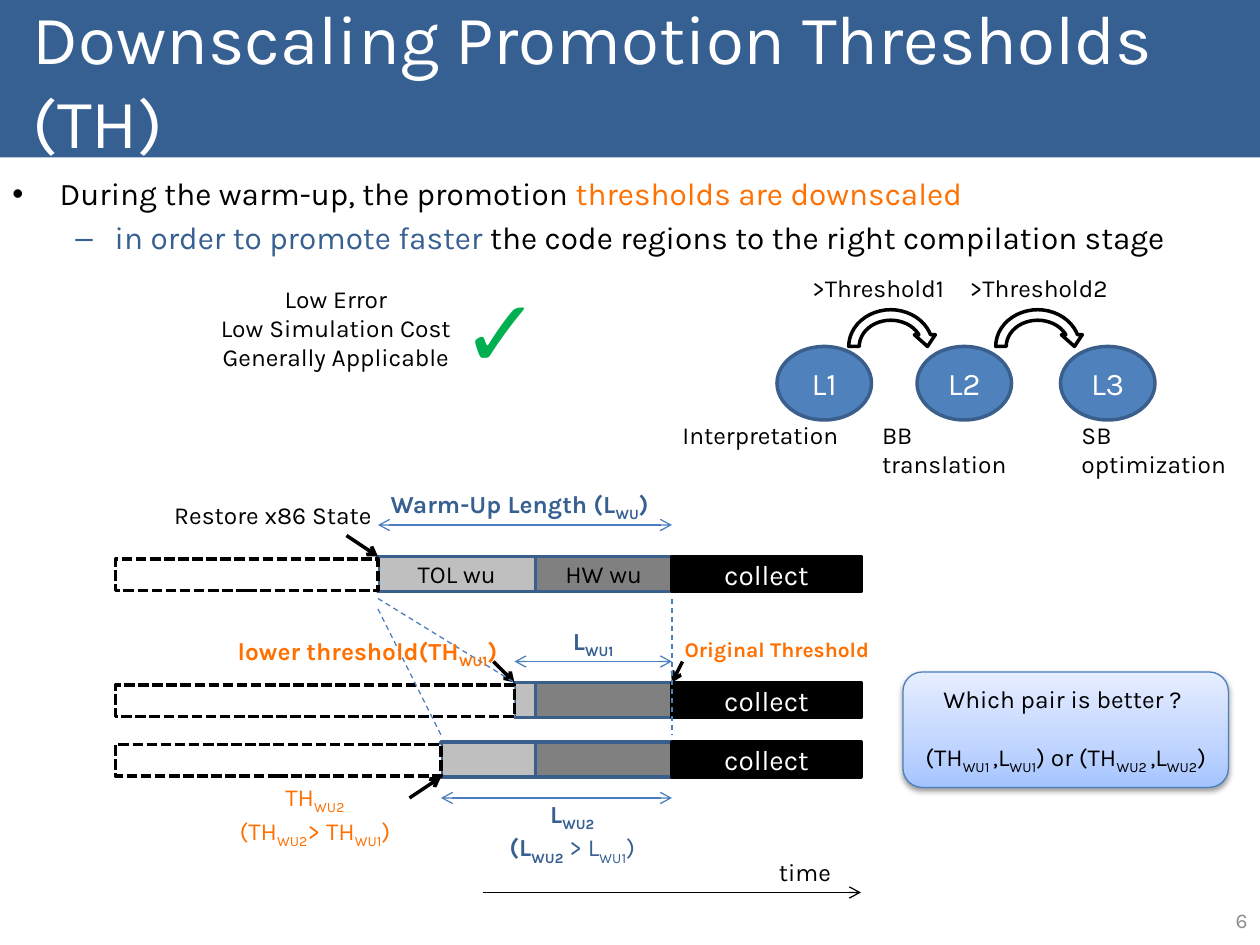
import pptx
import pptx.util
import pptx.dml.color
import pptx.enum.dml
import pptx.enum.shapes
import pptx.enum.text
import pptx.oxml
import pptx.oxml.ns

Pt = pptx.util.Pt
SHAPE = pptx.enum.shapes.MSO_SHAPE
ALIGN = pptx.enum.text.PP_ALIGN
ANCHOR = pptx.enum.text.MSO_ANCHOR
DASH = pptx.enum.dml.MSO_LINE
NAMESPACE = pptx.oxml.ns.nsdecls("a")
COLOURS = {
    "navy": "376092", "outline": "3A5F8C", "blue": "4F81BD", "thin": "4B7EBC",
    "orange": "FF7000", "green": "00B050", "black": "000000", "white": "FFFFFF",
    "light": "BFBFBF", "dark": "808080", "number": "8C8C8C",
}

deck = pptx.Presentation()
deck.slide_width, deck.slide_height = Pt(720), Pt(540)
page = deck.slides.add_slide(deck.slide_layouts[6])


def rgb(name):
    return pptx.dml.color.RGBColor.from_string(COLOURS[name])


def write(box, lines, size, colour, align=ALIGN.CENTER, bold=False, inset=None, anchor=ANCHOR.TOP):
    """Fill a box with lines; every second part between bars is a subscript."""
    frame = box.text_frame
    frame.word_wrap = True
    frame.vertical_anchor = anchor
    if inset is not None:
        frame.margin_left = frame.margin_right = Pt(inset)
        frame.margin_top = frame.margin_bottom = Pt(inset)
    for index, line in enumerate(lines):
        para = frame.add_paragraph() if index else frame.paragraphs[0]
        para.alignment = align
        for part, words in enumerate(line.split("|")):
            if not words:
                continue
            span = para.add_run()
            span.text = words
            span.font.name = "Karla"
            span.font.size = Pt(size)
            span.font.bold = bold
            span.font.color.rgb = rgb(colour)
            if part % 2:
                span.font._element.set("baseline", "-25000")
    return frame


def draw(kind, left, top, width, height, fill, line=None, weight=2):
    """Add a flat preset shape."""
    shape = page.shapes.add_shape(kind, Pt(left), Pt(top), Pt(width), Pt(height))
    shape.shadow.inherit = False
    shape.fill.solid()
    shape.fill.fore_color.rgb = rgb(fill)
    if line:
        shape.line.color.rgb = rgb(line)
        shape.line.width = Pt(weight)
    else:
        shape.line.fill.background()
    return shape


# Title band
band = draw(SHAPE.RECTANGLE, 0, 0, 720, 90, "navy")
title = page.shapes.add_textbox(Pt(11.5), Pt(0), Pt(708.5), Pt(90))
write(title, ["Downscaling Promotion Thresholds (TH)"], 39.6, "white", ALIGN.LEFT, anchor=ANCHOR.MIDDLE)

# Bulleted statement
bullets = [
    ("\u2022", "black", 27, 27, [("During the warm-up, the promotion ", "black"),
                                 ("thresholds are downscaled ", "orange")]),
    ("\u2013", "navy", 58.5, 22.5, [("in order to promote faster", "navy"),
                                    (" the code regions to the right compilation stage", "black")]),
]
body = page.shapes.add_textbox(Pt(0), Pt(96), Pt(708.5), Pt(386))
body.text_frame.word_wrap = True
for level, (mark, mark_colour, margin, hang, spans) in enumerate(bullets):
    para = body.text_frame.add_paragraph() if level else body.text_frame.paragraphs[0]
    para.level = level
    para.space_before = Pt(3.6)
    for words, colour in spans:
        span = para.add_run()
        span.text = words
        span.font.name = "Karla"
        span.font.size = Pt(18)
        span.font.color.rgb = rgb(colour)
    props = para._p.get_or_add_pPr()
    props.set("marL", str(Pt(margin)))
    props.set("indent", str(-Pt(hang)))
    for xml in (f'<a:buClr {NAMESPACE}><a:srgbClr val="{COLOURS[mark_colour]}"/></a:buClr>',
                f'<a:buFont {NAMESPACE} typeface="Arial"/>',
                f'<a:buChar {NAMESPACE} char="{mark}"/>'):
        props.append(pptx.oxml.parse_xml(xml))

# Execution bars: skipped part, TOL warm-up, HW warm-up, collection
BAR_LEFT, HARDWARE, COLLECT, BAR_RIGHT = 66, 306, 384, 492
for top, start, labels in [(318, 216, ("HW wu", "TOL wu")), (424, 252, ("", "")), (390, 294, ("", ""))]:
    parts = [(HARDWARE, COLLECT, "dark", "outline", labels[0], 14, "black"),
             (start, HARDWARE, "light", "outline", labels[1], 14, "black"),
             (COLLECT, BAR_RIGHT, "black", "black", "collect", 16, "white")]
    for left, right, fill, line, label, size, colour in parts:
        bar = draw(SHAPE.RECTANGLE, left, top, right - left, 20, fill, line)
        if label:
            write(bar, [label], size, colour, anchor=ANCHOR.MIDDLE)
    skipped = draw(SHAPE.RECTANGLE, BAR_LEFT, top + 1.5, start - BAR_LEFT, 18, "white", "black")
    skipped.line.dash_style = DASH.SQUARE_DOT

# Lines: start, end, colour, weight, dashed, arrow ends
connectors = [
    ((198, 306), (216, 318), "black", 2, False, ["tailEnd"]),
    ((390, 378), (384, 390), "black", 2, False, ["tailEnd"]),
    ((282, 378), (294, 390), "black", 2, False, ["tailEnd"]),
    ((234, 456), (252, 444), "black", 2, False, ["tailEnd"]),
    ((276, 510), (492, 510), "black", 0.75, False, ["tailEnd"]),
    ((216, 300), (384, 300), "thin", 0.75, False, ["headEnd", "tailEnd"]),
    ((294, 378), (384, 378), "thin", 0.75, False, ["headEnd", "tailEnd"]),
    ((252, 456), (384, 456), "thin", 0.75, False, ["headEnd", "tailEnd"]),
    ((216, 342), (294, 390), "thin", 0.75, True, []),
    ((384, 342), (384, 420), "thin", 0.75, True, []),
    ((216, 348), (252, 420), "thin", 0.75, True, []),
]
for start, end, colour, weight, dashed, ends in connectors:
    link = page.shapes.add_connector(pptx.enum.shapes.MSO_CONNECTOR.STRAIGHT, *map(Pt, start + end))
    link.line.color.rgb = rgb(colour)
    link.line.width = Pt(weight)
    if dashed:
        link.line.dash_style = DASH.DASH
    for tag in ends:
        link.line._get_or_add_ln().append(pptx.oxml.parse_xml(f'<a:{tag} {NAMESPACE} type="arrow"/>'))
    link._element.spPr.append(pptx.oxml.parse_xml(f"<a:effectLst {NAMESPACE}/>"))

# Compilation stages and promotions
for left, label in [(444, "L1"), (524, "L2"), (606, "L3")]:
    stage = draw(SHAPE.OVAL, left, 198, 54, 42, "blue", "outline")
    write(stage, [label], 18, "white", anchor=ANCHOR.MIDDLE)
for left in (482, 566):
    draw(SHAPE.CIRCULAR_ARROW, left, 174, 54, 48, "white", "black")

# Labels: left, top, width, height, lines, size, colour, alignment, bold, inset
CENTER, LEFT = ALIGN.CENTER, ALIGN.LEFT
labels = [
    (78, 282, 156, 24, ["Restore x86 State"], 14, "black", CENTER, False, None),
    (66, 162, 252, 68, ["Low Error", "Low Simulation Cost", "Generally Applicable"],
     14, "black", CENTER, False, 0),
    (384, 360, 120, 22, ["Original Threshold"], 12, "orange", CENTER, True, None),
    (216, 276, 162, 24, ["Warm-Up Length (L|WU|)"], 14, "navy", CENTER, True, None),
    (264, 156, 30, 65, ["\u2713"], 54, "green", LEFT, True, 0),
    (438, 486, 48, 24, ["time"], 14, "black", LEFT, False, None),
    (126, 360, 168, 24, ["lower threshold(TH|WU1|)"], 14, "orange", CENTER, True, None),
    (96, 443.5, 168, 41, ["TH|WU2", "(TH|WU2|> TH|WU1|)"], 14, "orange", CENTER, False, None),
    (288, 354, 102, 24, ["L|WU1"], 14, "navy", CENTER, True, None),
    (464, 156, 84, 17, [">Threshold1"], 14, "black", LEFT, False, 0),
    (554, 156, 84, 17, [">Threshold2"], 14, "black", LEFT, False, 0),
    (390, 240, 90, 17, ["Interpretation"], 14, "black", LEFT, False, 0),
    (504, 240, 90, 17, ["BB translation"], 14, "black", LEFT, False, 0),
    (618, 240, 102, 17, ["SB optimization"], 14, "black", LEFT, False, 0),
]
for left, top, width, height, *style in labels:
    write(page.shapes.add_textbox(Pt(left), Pt(top), Pt(width), Pt(height)), *style)

# Second warm-up length, bold only up to its first subscript
length = page.shapes.add_textbox(Pt(276), Pt(453), Pt(102), Pt(41))
frame = write(length, ["L|WU2", "(L|WU2| > L|WU1|)"], 14, "navy", bold=True)
for span in frame.paragraphs[1].runs[2:]:
    span.font.bold = False

# Question callout with gradient and soft shadow
callout = draw(SHAPE.ROUNDED_RECTANGLE, 516, 384, 186, 66, "white", "thin", 0.75)
frame = write(callout, ["Which pair is better ? ", "(TH|WU1 |,L|WU1|) or (TH|WU2 |,L|WU2|)"],
              14, "black", inset=0, anchor=ANCHOR.MIDDLE)
frame.paragraphs[1].space_before = Pt(16.5)
stops = "".join(f'<a:gs pos="{place}000"><a:srgbClr val="{colour}"/></a:gs>'
                for place, colour in [(0, "A4C4FF"), (35, "BFD4FF"), (100, "E6EEFF")])
props = callout._element.spPr
props.replace(props.find(pptx.oxml.ns.qn("a:solidFill")), pptx.oxml.parse_xml(
    f'<a:gradFill {NAMESPACE} rotWithShape="1"><a:gsLst>{stops}</a:gsLst>'
    '<a:lin ang="16200000" scaled="0"/></a:gradFill>'))
props.find(pptx.oxml.ns.qn("a:effectLst")).append(pptx.oxml.parse_xml(
    f'<a:outerShdw {NAMESPACE} blurRad="{Pt(3.1)}" dist="{Pt(1.6)}" dir="5400000" rotWithShape="0">'
    '<a:srgbClr val="000000"><a:alpha val="38000"/></a:srgbClr></a:outerShdw>'))

# Page number
number = page.shapes.add_textbox(Pt(552), Pt(511), Pt(168), Pt(29))
write(number, ["6"], 12, "number", ALIGN.RIGHT, anchor=ANCHOR.MIDDLE)

deck.save("out.pptx")
